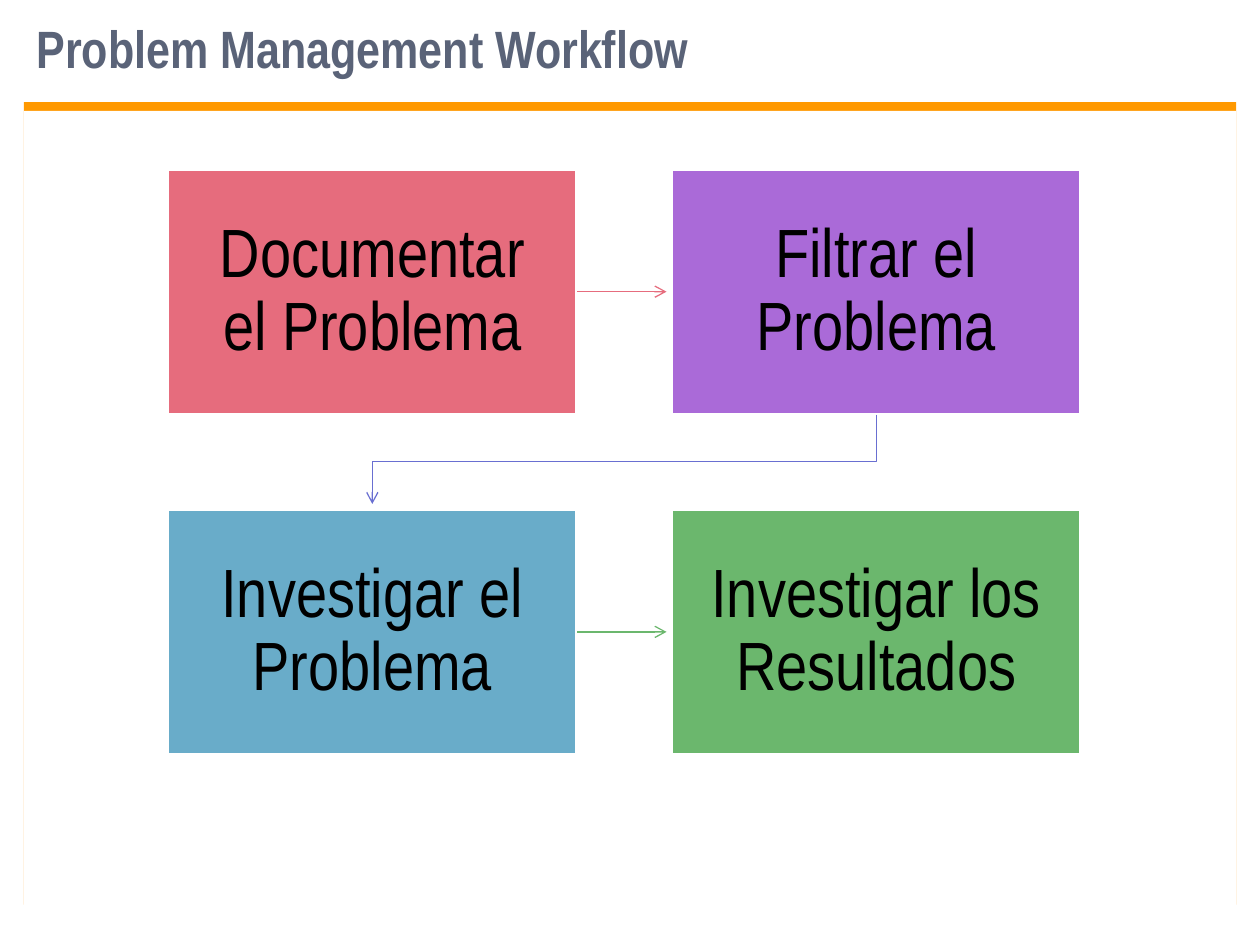
from lxml.etree import SubElement
from pptx import Presentation
from pptx.dml.color import RGBColor
from pptx.enum.shapes import MSO_CONNECTOR as CONNECTOR, MSO_SHAPE as SHAPE
from pptx.enum.text import MSO_ANCHOR as ANCHOR, MSO_AUTO_SIZE as AUTO_SIZE, PP_ALIGN as ALIGN
from pptx.oxml.ns import qn
from pptx.util import Inches, Pt

HEADING = "Problem Management Workflow"
STEPS = [
    ("Documentar el Problema", "rose"),
    ("Filtrar el Problema", "purple"),
    ("Investigar el Problema", "blue"),
    ("Investigar los Resultados", "green"),
]
COLORS = {
    "rose": "E66C7D", "purple": "AA6AD8", "blue": "69ACC9", "green": "6BB76D",
    "indigo": "696FD1", "orange": "FF9900", "slate": "5A6378",
    "white": "FFFFFF", "black": "000000",
}
FONT = "Arial Narrow"
COLUMNS = 2
LEFT, TOP = 1.33, 1.34
STEP_W, STEP_H = 3.25, 1.95
PITCH_X, PITCH_Y = 4, 2.7
ARROW_REACH = 0.71
HEADING_FRAME = {"vertical_anchor": ANCHOR.MIDDLE, "word_wrap": True, "auto_size": AUTO_SIZE.NONE}
STEP_FRAME = HEADING_FRAME | {
    side: Inches(0.3)
    for side in ("margin_left", "margin_top", "margin_right", "margin_bottom")
}


def rgb(color):
    return RGBColor.from_string(COLORS[color])


def apply(target, values):
    for attribute, value in values.items():
        setattr(target, attribute, value)


def write(shape, text, frame_format, align, size, color, bold):
    frame = shape.text_frame
    frame.text = text
    apply(frame, frame_format)
    paragraph = frame.paragraphs[0]
    apply(paragraph, {"alignment": align, "line_spacing": 0.9})
    apply(paragraph.font, {"name": FONT, "size": Pt(size), "bold": bold})
    paragraph.font.color.rgb = rgb(color)


def add_block(slide, left, top, width, height, color):
    block = slide.shapes.add_shape(
        SHAPE.RECTANGLE, Inches(left), Inches(top), Inches(width), Inches(height))
    block.shadow.inherit = False
    block.fill.solid()
    block.fill.fore_color.rgb = rgb(color)
    return block


def style_arrow(arrow, color):
    arrow.line.color.rgb = rgb(color)
    arrow.line.width = Pt(0.75)
    properties = arrow.line._get_or_add_ln()
    SubElement(properties, qn("a:tailEnd"), type="arrow")


def add_panel(slide):
    panel = add_block(slide, 0.19, 0.88, 9.62, 6.37, "white")
    panel.line.fill.background()
    effects = panel._element.spPr.find(qn("a:effectLst"))
    shadow = SubElement(effects, qn("a:outerShdw"), blurRad="0", dist=str(Pt(5)),
                        dir=str(270 * 60000), algn="ctr", rotWithShape="0")
    SubElement(shadow, qn("a:srgbClr"), val=COLORS["orange"])


def add_step(slide, index, text, color):
    row, column = divmod(index, COLUMNS)
    step = add_block(slide, LEFT + column * PITCH_X, TOP + row * PITCH_Y, STEP_W, STEP_H, color)
    step.line.color.rgb = rgb("white")
    step.line.width = Pt(2)
    write(step, text, STEP_FRAME, ALIGN.CENTER, 39, "black", False)


def add_row_arrow(slide, row, color):
    start = LEFT + STEP_W
    y = Inches(TOP + row * PITCH_Y + STEP_H / 2)
    arrow = slide.shapes.add_connector(
        CONNECTOR.STRAIGHT, Inches(start), y, Inches(start + ARROW_REACH), y)
    SubElement(arrow._element.spPr, qn("a:effectLst"))
    style_arrow(arrow, color)


def add_return_arrow(slide, color):
    end_x = LEFT + STEP_W / 2
    start_x = end_x + PITCH_X
    start_y = TOP + STEP_H
    middle_y = (start_y + TOP + PITCH_Y) / 2
    route = [(start_x, middle_y), (end_x, middle_y), (end_x, start_y + ARROW_REACH)]
    builder = slide.shapes.build_freeform(Inches(start_x), Inches(start_y))
    builder.add_line_segments([(Inches(x), Inches(y)) for x, y in route], close=False)
    arrow = builder.convert_to_shape()
    arrow.shadow.inherit = False
    arrow.fill.background()
    style_arrow(arrow, color)


def main():
    deck = Presentation()
    apply(deck, {"slide_width": Inches(10), "slide_height": Inches(7.5)})
    slide = deck.slides.add_slide(deck.slide_layouts[5])
    add_panel(slide)
    heading = slide.shapes.title
    apply(heading, {"left": Inches(0.19), "top": Inches(0.13),
                    "width": Inches(9.31), "height": Inches(0.55)})
    write(heading, HEADING, HEADING_FRAME, ALIGN.LEFT, 30, "slate", True)
    for index, (text, color) in enumerate(STEPS):
        add_step(slide, index, text, color)
    for row, color in enumerate(("rose", "green")):
        add_row_arrow(slide, row, color)
    add_return_arrow(slide, "indigo")
    deck.save("out.pptx")


if __name__ == "__main__":
    main()
